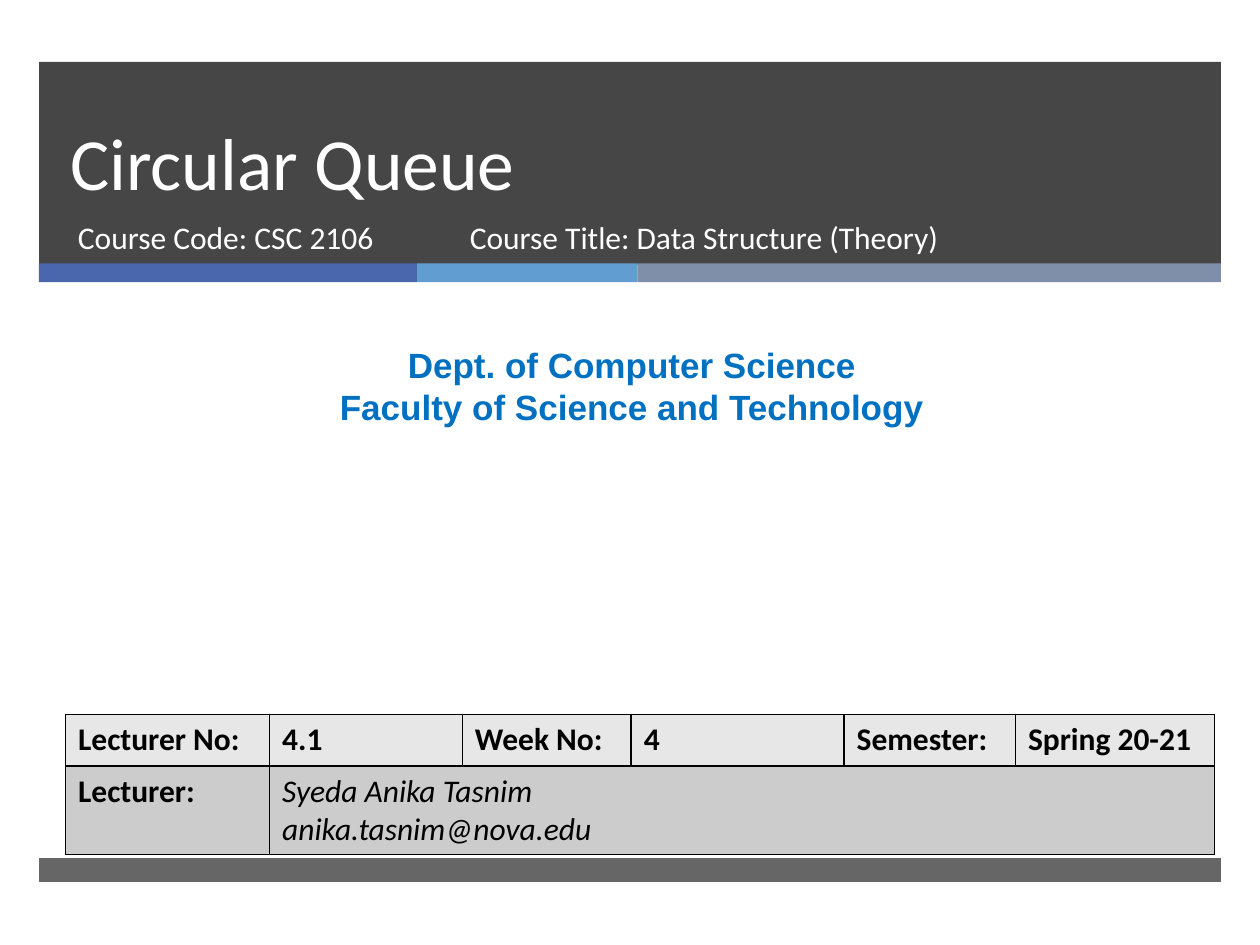
from lxml import etree
from pptx import Presentation
from pptx.dml.color import RGBColor
from pptx.enum.shapes import MSO_SHAPE
from pptx.enum.text import MSO_ANCHOR, PP_ALIGN
from pptx.oxml import parse_xml
from pptx.oxml.ns import nsdecls, qn
from pptx.util import Inches, Pt

COLORS = {
    "dark": "262626", "blue": "4A66AC", "sky": "629DD1", "slate": "7F8FA9",
    "white": "FFFFFF", "black": "000000", "dept": "0070C0",
    "row1": "E7E7E7", "row2": "CCCCCC",
}


def rgb(name):
    """Return the named palette colour."""
    return RGBColor.from_string(COLORS[name])


def add_bar(s, x, y, w, h, color, opacity=100):
    """Add a borderless rectangle with the given opacity in percent."""
    bar = s.shapes.add_shape(MSO_SHAPE.RECTANGLE, Inches(x), Inches(y), Inches(w), Inches(h))
    bar.shadow.inherit = False
    bar.line.fill.background()
    bar.fill.solid()
    bar.fill.fore_color.rgb = rgb(color)
    if opacity < 100:
        clr = bar.fill._xPr.find(".//" + qn("a:srgbClr"))
        etree.SubElement(clr, qn("a:alpha")).set("val", str(opacity * 1000))


def style_text(tf, size, color, font="Calibri", bold=False, italic=False):
    """Format every run of a text frame."""
    for p in tf.paragraphs:
        for r in p.runs:
            r.font.name, r.font.size = font, Pt(size)
            r.font.bold, r.font.italic = bold, italic
            r.font.color.rgb = rgb(color)


def add_text(s, x, y, w, h, text, size, color, **style):
    """Add a wrapped text box and return its text frame."""
    tf = s.shapes.add_textbox(Inches(x), Inches(y), Inches(w), Inches(h)).text_frame
    tf.word_wrap = True
    tf.text = text
    style_text(tf, size, color, **style)
    return tf


def add_header(s, x, y, w, h):
    """Add the title band with its course line and tricolour stripe."""
    add_bar(s, x, y, w, h, "dark", 85)
    left = x
    for width, color in ((3, "blue"), (1.75, "sky"), (w - 4.75, "slate")):
        add_bar(s, left, y + h - 0.01, width, 0.15, color)
        left += width
    tf = add_text(s, x + 0.15, y, 8.54, 1.19, "Circular Queue", 42, "white")
    tf.vertical_anchor = MSO_ANCHOR.BOTTOM
    tf.paragraphs[0].line_spacing = Pt(46)
    for dx, width, text in (
        (0.21, 3.05, "Course Code: CSC 2106"),
        (3.32, 4.55, "Course Title: Data Structure (Theory)"),
    ):
        add_text(s, x + dx, y + 1.19, width, 0.53, text, 18, "white")


def add_department(s, x, y, w, h):
    """Add the centred department and faculty lines."""
    text = "Dept. of Computer Science\nFaculty of Science and Technology"
    tf = add_text(s, x, y, w, h, text, 20, "dept", font="Arial", bold=True)
    for p in tf.paragraphs:
        p.alignment = PP_ALIGN.CENTER


def style_cell(cell, fill):
    """Give a cell its fill and thin black borders."""
    tcPr = cell._tc.get_or_add_tcPr()
    for side in ("lnL", "lnR", "lnT", "lnB"):
        tcPr.append(parse_xml(
            f'<a:{side} {nsdecls("a")} w="12700"><a:solidFill>'
            f'<a:srgbClr val="{COLORS["black"]}"/></a:solidFill></a:{side}>'))
    cell.fill.solid()
    cell.fill.fore_color.rgb = rgb(fill)


def add_lecture_table(s, x, y, w, h):
    """Add the lecture details table with a merged lecturer cell."""
    widths = (1.62, 1.53, 1.34, 1.69, 1.36, 1.58)
    rows = (
        ("Lecturer No:", "4.1", "Week No:", "4", "Semester:", "Spring 20-21"),
        ("Lecturer:", "Syeda Anika Tasnim\nanika.tasnim@nova.edu"),
    )
    table = s.shapes.add_table(2, 6, Inches(x), Inches(y), Inches(w), Inches(h)).table
    for col, width in zip(table.columns, widths):
        col.width = Inches(width)
    for row, height in zip(table.rows, (0.41, h - 0.41)):
        row.height = Inches(height)
    table.cell(1, 1).merge(table.cell(1, 5))
    for i, texts in enumerate(rows):
        for cell in table.rows[i].cells:
            style_cell(cell, f"row{i + 1}")
        for j, text in enumerate(texts):
            tf = table.cell(i, j).text_frame
            tf.text = text
            name = (i, j) == (1, 1)
            style_text(tf, 18, "black", bold=not name, italic=name)


def main():
    """Build and save the title slide."""
    prs = Presentation()
    prs.slide_width, prs.slide_height = Inches(10), Inches(7.5)
    s = prs.slides.add_slide(prs.slide_layouts[6])
    add_header(s, 0.31, 0.49, 9.38, 1.61)
    add_bar(s, 0.31, 6.81, 9.38, 0.19, "dark", 70)
    add_department(s, 0.08, 2.68, 9.87, 0.77)
    add_lecture_table(s, 0.52, 5.67, 9.12, 1.11)
    prs.save("out.pptx")


if __name__ == "__main__":
    main()
